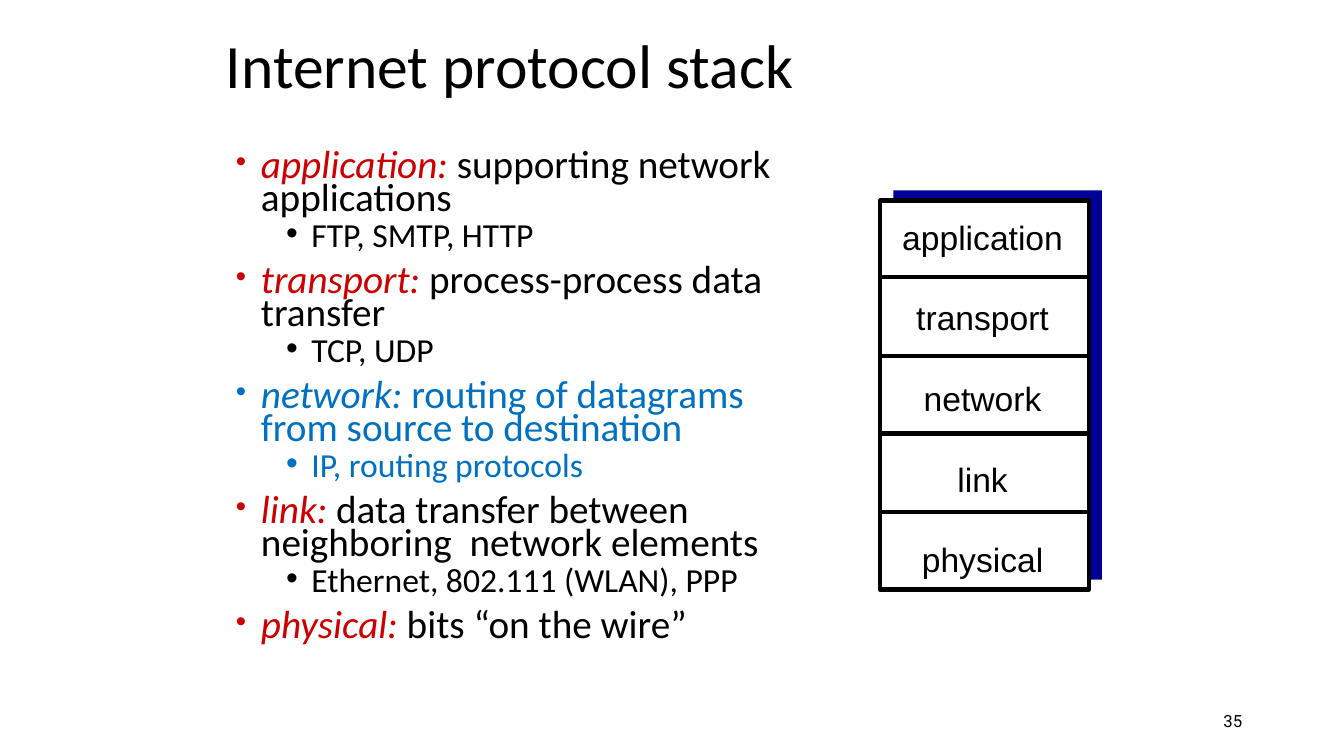
from lxml.etree import SubElement
from pptx import Presentation
from pptx.dml.color import RGBColor
from pptx.enum.shapes import MSO_CONNECTOR, MSO_SHAPE
from pptx.enum.text import MSO_ANCHOR, MSO_AUTO_SIZE, PP_ALIGN
from pptx.oxml.ns import qn
from pptx.util import Pt

EMU_PER_PX = 9144  # 100 px to the inch
BLACK, WHITE, NAVY, RED, BLUE = "000000", "FFFFFF", "000099", "CC0000", "0070C0"

# Layer, what it does, example protocols, colour of the name, colour of the rest
LAYERS = [
    ("application", "supporting network applications", "FTP, SMTP, HTTP", RED, BLACK),
    ("transport", "process-process data transfer", "TCP, UDP", RED, BLACK),
    ("network", "routing of datagrams from source to destination",
     "IP, routing protocols", BLUE, BLUE),
    ("link", "data transfer between neighboring  network elements",
     "Ethernet, 802.111 (WLAN), PPP", RED, BLACK),
    ("physical", "bits “on the wire”", None, RED, BLACK),
]


def px(length):
    return EMU_PER_PX * length


def color(hex_string):
    return RGBColor.from_string(hex_string)


class SlideBuilder:
    body_font = "Calibri"
    stack_font = "Arial"
    number_font = "Roboto"
    line_width = Pt(3)

    def __init__(self, deck):
        self.slide = deck.slides.add_slide(deck.slide_layouts[5])

    def format_span(self, span, size, font, fill=BLACK, italic=False):
        span.font.size = Pt(size)
        span.font.name = font
        span.font.color.rgb = color(fill)
        span.font.italic = italic

    def title(self, text, left, top, width, height):
        box = self.slide.shapes.title
        box.left, box.top = px(left), px(top)
        box.width, box.height = px(width), px(height)
        frame = box.text_frame
        frame.text = text
        frame.vertical_anchor = MSO_ANCHOR.MIDDLE
        para = frame.paragraphs[0]
        para.alignment = PP_ALIGN.LEFT
        para.line_spacing = 0.9
        self.format_span(para.runs[0], 44, self.body_font)

    def text_box(self, left, top, width, height, wrap=True):
        box = self.slide.shapes.add_textbox(px(left), px(top), px(width), px(height))
        frame = box.text_frame
        frame.word_wrap = wrap
        frame.auto_size = MSO_AUTO_SIZE.NONE
        return frame

    def paragraph(self, frame):
        first = frame.paragraphs[0]
        return first if not first.runs else frame.add_paragraph()

    def bullet(self, frame, spans, level, size, space, indent, bullet_percent):
        para = self.paragraph(frame)
        para.level = level
        para.line_spacing = 0.7
        para.space_before = Pt(space)
        for text, fill, italic in spans:
            span = para.add_run()
            span.text = text
            self.format_span(span, size, self.body_font, fill, italic)
        properties = para._p.get_or_add_pPr()
        properties.set("marL", str(px(indent)))
        properties.set("indent", str(px(-25)))
        SubElement(properties, qn("a:buSzPct")).set("val", str(bullet_percent * 1000))
        SubElement(properties, qn("a:buFont")).set("typeface", "Arial")
        SubElement(properties, qn("a:buChar")).set("char", "•")

    def rectangle(self, left, top, width, height, fill, outline=None):
        box = self.slide.shapes.add_shape(
            MSO_SHAPE.RECTANGLE, px(left), px(top), px(width), px(height))
        box.shadow.inherit = False
        box.fill.solid()
        box.fill.fore_color.rgb = color(fill)
        if outline:
            box.line.color.rgb = color(outline)
            box.line.width = self.line_width
        else:
            box.line.fill.background()

    def rule(self, left, right, y):
        line = self.slide.shapes.add_connector(
            MSO_CONNECTOR.STRAIGHT, px(left), px(y), px(right), px(y))
        line.line.color.rgb = color(BLACK)
        line.line.width = self.line_width
        SubElement(line._element.spPr, qn("a:effectLst"))

    def stack_labels(self, names, left, top, width, height):
        frame = self.text_box(left, top, width, height, wrap=False)
        for index, name in enumerate(names):
            para = self.paragraph(frame)
            para.text = name
            para.alignment = PP_ALIGN.CENTER
            para.space_before = Pt(28.8 if index else 0)
            self.format_span(para.runs[0], 24, self.stack_font)

    def slide_number(self, text, left, top, width, height):
        frame = self.text_box(left, top, width, height)
        frame.text = text
        frame.vertical_anchor = MSO_ANCHOR.MIDDLE
        para = frame.paragraphs[0]
        para.alignment = PP_ALIGN.RIGHT
        self.format_span(para.runs[0], 12, self.number_font)


def main():
    deck = Presentation()
    deck.slide_width, deck.slide_height = px(1333), px(750)
    builder = SlideBuilder(deck)
    builder.title("Internet protocol stack", 214, 12, 850, 112)

    # Layer descriptions
    body = builder.text_box(224, 146, 607, 508)
    for name, purpose, protocols, name_color, text_color in LAYERS:
        spans = [(f"{name}:", name_color, True), (f" {purpose}", text_color, False)]
        builder.bullet(body, spans, 0, 28, 10, 25, 75)
        if protocols:
            builder.bullet(body, [(protocols, text_color, False)], 1, 24, 5, 75, 100)

    # Protocol stack with its offset backing
    builder.rectangle(886, 189, 207, 386, NAVY)
    builder.rectangle(873, 199, 207, 386, WHITE, BLACK)
    builder.stack_labels([layer[0] for layer in LAYERS], 884, 210, 181, 374)
    for index in range(len(LAYERS) - 1):
        builder.rule(872, 1078, round(275 + index * 233 / 3))

    builder.slide_number("35", 942, 695, 300, 40)
    deck.save("out.pptx")


if __name__ == "__main__":
    main()
